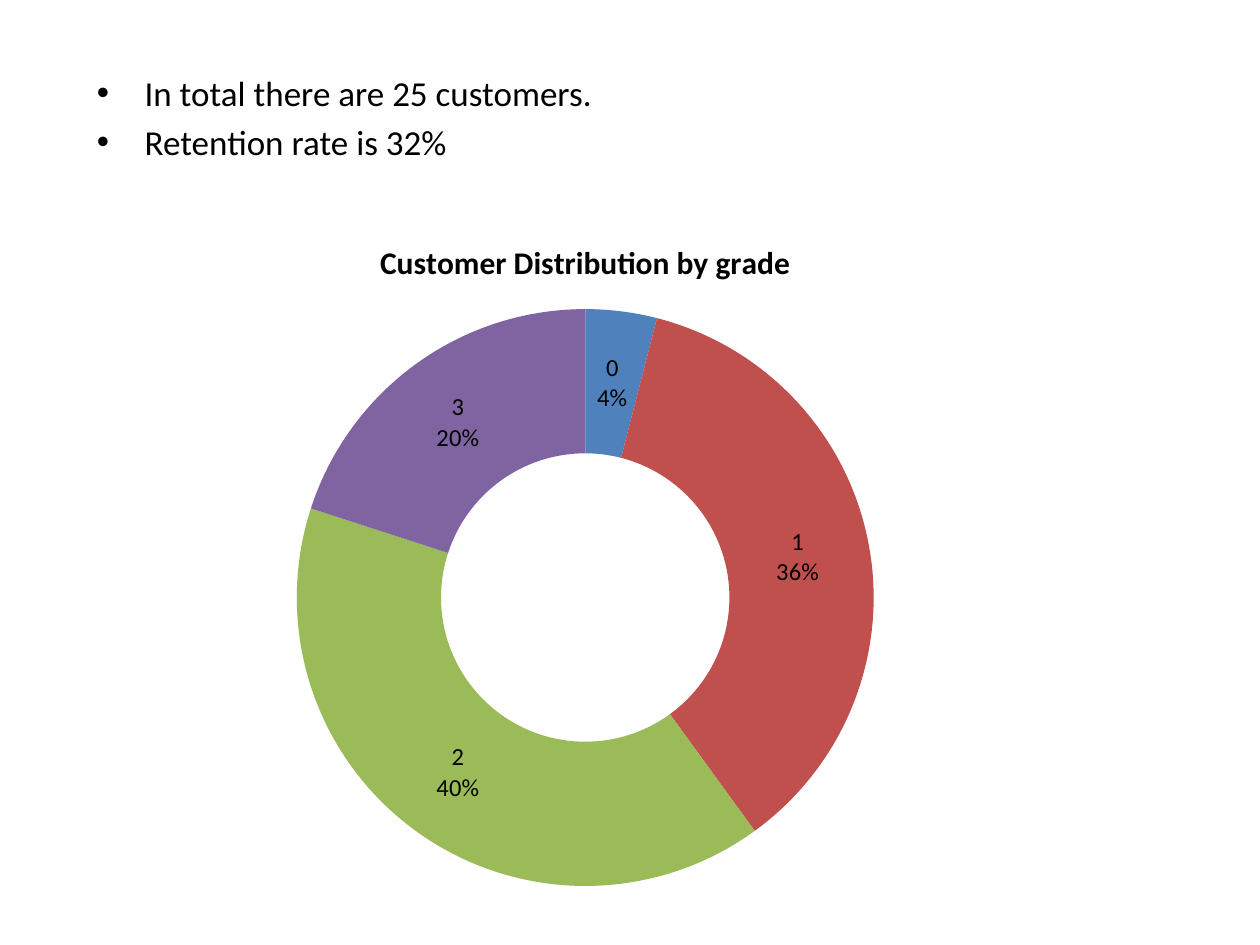
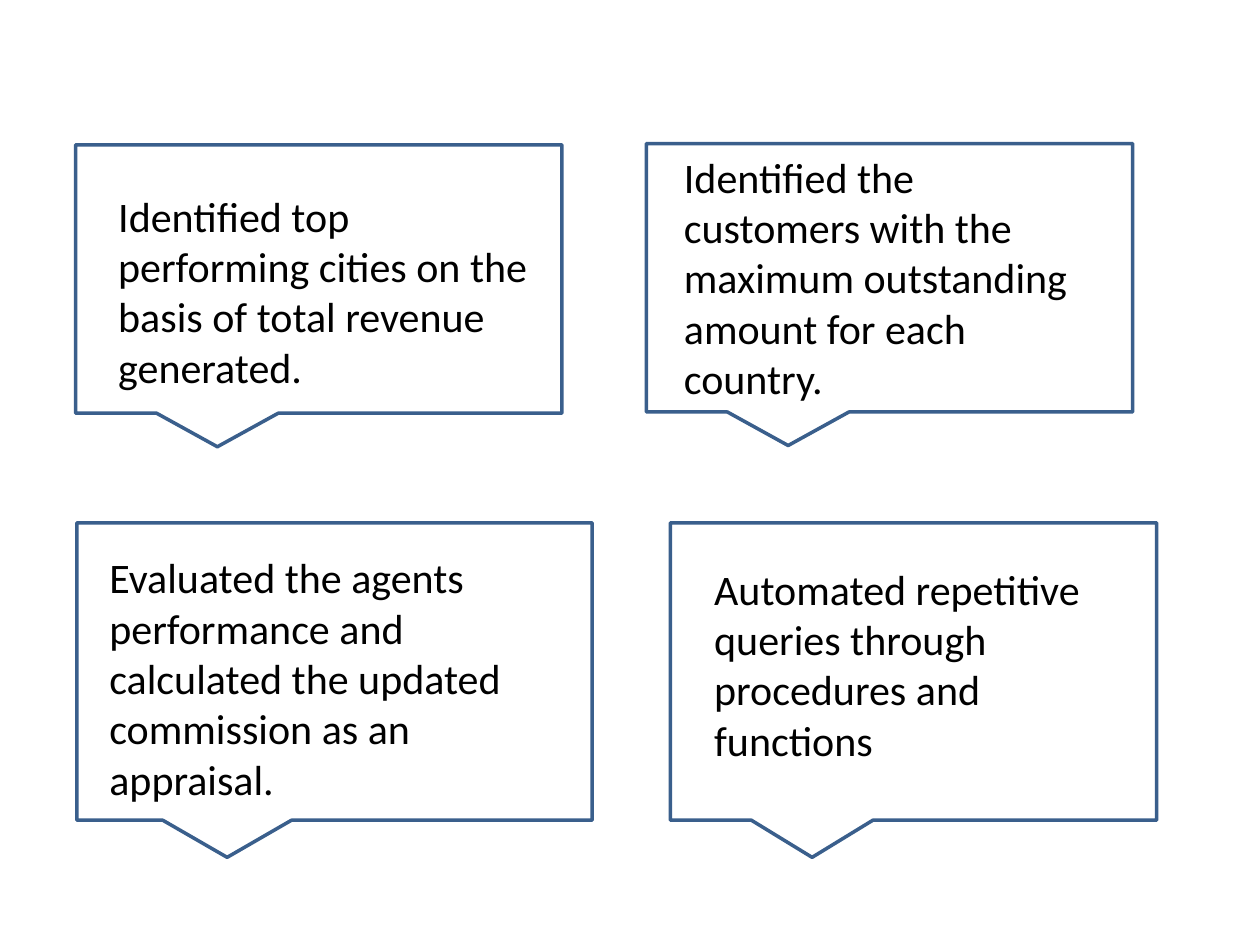
from dataclasses import dataclass

from lxml import etree
from pptx import Presentation
from pptx.chart.data import CategoryChartData
from pptx.dml.color import RGBColor
from pptx.enum.chart import XL_CHART_TYPE
from pptx.enum.shapes import MSO_SHAPE
from pptx.enum.text import MSO_AUTO_SIZE
from pptx.oxml.ns import qn
from pptx.util import Inches, Pt

FONT = "Calibri"
COLORS = {
    "text": "000000",
    "paper": "FFFFFF",
    "outline": "3A5F8C",
    "grade 0": "4F81BD",
    "grade 1": "C0504D",
    "grade 2": "9BBB59",
    "grade 3": "8064A2",
}
GRADE_SHARES = {"0": 4, "1": 36, "2": 40, "3": 20}
SUMMARY = ["In total there are 25 customers.", "Retention rate is 32%"]


@dataclass
class Area:
    left: float
    top: float
    width: float
    height: float

    def lengths(self) -> list:
        return [Inches(n) for n in (self.left, self.top, self.width, self.height)]


@dataclass
class Callout:
    frame: Area
    label: Area
    text: str


CALLOUTS = [
    Callout(Area(5.32, 4.15, 3.86, 2.36), Area(5.57, 4.42, 3.46, 2.02),
            "Automated repetitive queries through procedures and functions"),
    Callout(Area(0.6, 1.15, 3.86, 2.13), Area(0.84, 1.46, 3.46, 1.72),
            "Identified top performing cities on the basis of total revenue generated."),
    Callout(Area(0.61, 4.15, 4.09, 2.36), Area(0.77, 4.33, 3.67, 2.69),
            "Evaluated the agents performance and calculated the updated "
            "commission as an appraisal."),
    Callout(Area(5.13, 1.14, 3.86, 2.13), Area(5.33, 1.15, 3.46, 2.42),
            "Identified the customers with the maximum outstanding amount for each country."),
]


def color(name: str) -> RGBColor:
    return RGBColor.from_string(COLORS[name])


def style_font(font, size: float, bold: bool = False) -> None:
    font.name = FONT
    font.size = Pt(size)
    font.bold = bold
    font.color.rgb = color("text")


def add_text(shapes, area: Area, lines: list, size: float):
    box = shapes.add_textbox(*area.lengths())
    frame = box.text_frame
    frame.word_wrap = True
    frame.text = "\n".join(lines)
    for para in frame.paragraphs:
        for span in para.runs:
            style_font(span.font, size)
    return box


def add_bullet(para) -> None:
    properties = para._p.get_or_add_pPr()
    indent = Inches(0.38)
    properties.set("marL", str(indent))
    properties.set("indent", str(-indent))
    etree.SubElement(properties, qn("a:buFont")).set("typeface", "Arial")
    etree.SubElement(properties, qn("a:buChar")).set("char", "•")


def add_grade_chart(shapes, area: Area) -> None:
    data = CategoryChartData()
    data.categories = list(GRADE_SHARES)
    data.add_series("Series 1", list(GRADE_SHARES.values()))
    chart = shapes.add_chart(XL_CHART_TYPE.DOUGHNUT, *area.lengths(), data).chart
    style_font(chart.font, 10)
    chart.has_legend = False

    # Title
    chart.has_title = True
    title = chart.chart_title.text_frame
    title.text = "Customer Distribution by grade"
    style_font(title.paragraphs[0].runs[0].font, 18, bold=True)

    # One colour for each grade
    chart.plots[0].vary_by_categories = True
    series = chart.plots[0].series[0]
    for index, grade in enumerate(GRADE_SHARES):
        fill = series.points[index].format.fill
        fill.solid()
        fill.fore_color.rgb = color(f"grade {grade}")

    # Grade above its percentage
    labels = series.data_labels
    labels.show_value = False
    labels.show_category_name = True
    labels.show_percentage = True
    style_font(labels.font, 14)
    separator = etree.Element(qn("c:separator"))
    separator.text = "\n"
    labels._element.find(qn("c:showBubbleSize")).addnext(separator)


def add_callout(shapes, callout: Callout) -> None:
    group = shapes.add_group_shape().shapes
    bubble = group.add_shape(MSO_SHAPE.RECTANGULAR_CALLOUT, *callout.frame.lengths())
    bubble.shadow.inherit = False
    bubble.fill.solid()
    bubble.fill.fore_color.rgb = color("paper")
    bubble.line.color.rgb = color("outline")
    bubble.line.width = Pt(2)
    label = add_text(group, callout.label, [callout.text], 24)
    label.text_frame.auto_size = MSO_AUTO_SIZE.SHAPE_TO_FIT_TEXT


def main() -> None:
    deck = Presentation()
    deck.slide_width, deck.slide_height = Inches(10), Inches(7.5)
    blank = deck.slide_layouts[6]

    # Customer summary
    page = deck.slides.add_slide(blank)
    summary = add_text(page.shapes, Area(0.67, 0.52, 8.33, 6.18), SUMMARY, 20)
    for para in summary.text_frame.paragraphs:
        para.space_before = Pt(4)
        add_bullet(para)
    add_grade_chart(page.shapes, Area(0.51, 1.7, 8.27, 5.47))

    # Achievements
    page = deck.slides.add_slide(blank)
    for callout in CALLOUTS:
        add_callout(page.shapes, callout)

    deck.save("out.pptx")


if __name__ == "__main__":
    main()
